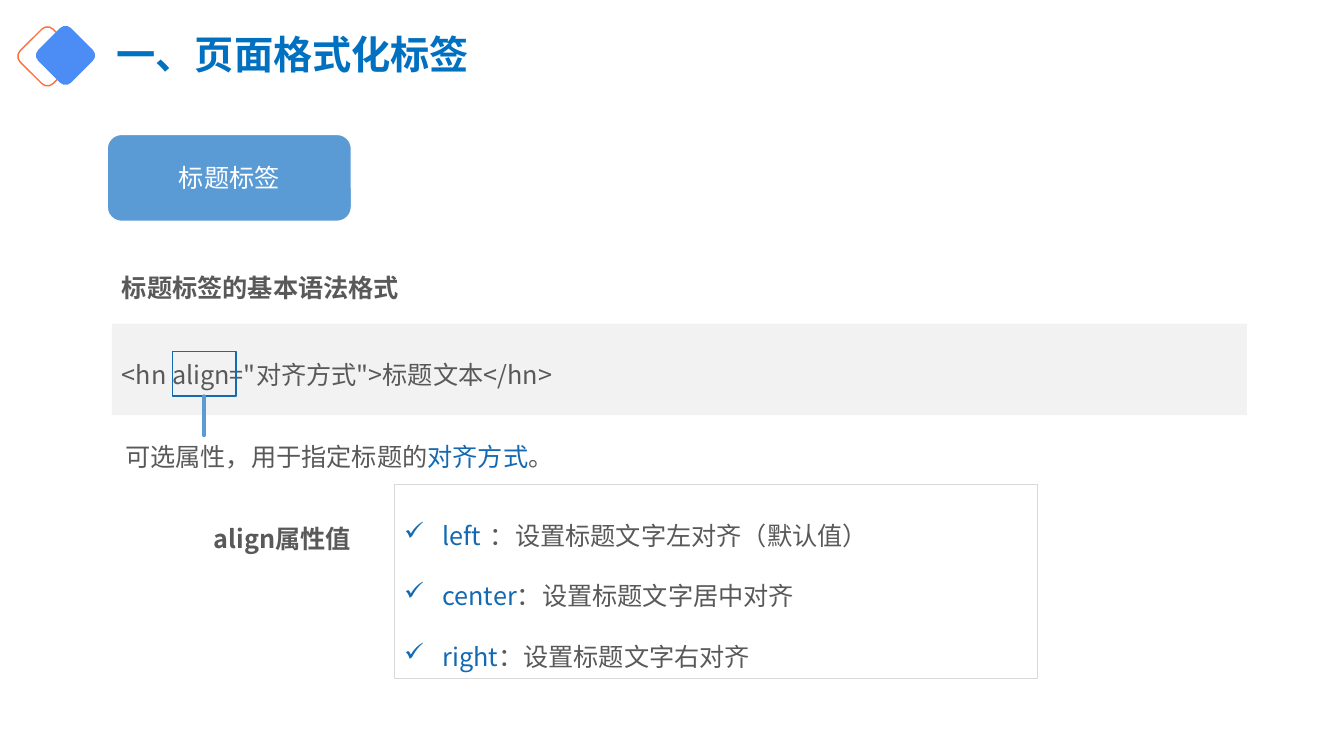
from dataclasses import dataclass

from lxml import etree
from pptx import Presentation
from pptx import util as u
from pptx.dml import color
from pptx.enum import shapes, text
from pptx.oxml import ns

FONT = "Noto Sans CJK SC"
COLORS = {
    "title": "0070C0", "gray": "595959", "blue": "1369B2", "white": "FFFFFF",
    "tag": "5B9BD5", "bar": "F2F2F2", "border": "D9D9D9",
    "orange": "FD703B", "diamond": "4C8CF5",
}
WIDTH, HEIGHT = u.Inches(13.333), u.Inches(7.5)
RECT = shapes.MSO_SHAPE.RECTANGLE
ROUND = shapes.MSO_SHAPE.ROUNDED_RECTANGLE
LEFT, CENTER, JUSTIFY = text.PP_ALIGN.LEFT, text.PP_ALIGN.CENTER, text.PP_ALIGN.JUSTIFY
TOP, MIDDLE = text.MSO_ANCHOR.TOP, text.MSO_ANCHOR.MIDDLE
Run = tuple[str, str]


@dataclass
class Area:
    """Place and size in percent of the slide's width and height."""
    x: float
    y: float
    w: float
    h: float

    def emu(self) -> tuple[int, int, int, int]:
        """Return left, top, width and height in EMU."""
        return across(self.x), down(self.y), across(self.w), down(self.h)


@dataclass
class Box:
    """A preset shape with optional fill and outline."""
    area: Area
    kind: int = RECT
    fill: str | None = None
    line: str | None = None
    weight: float = 1
    rotation: float = 0


@dataclass
class Style:
    """Look of the text in a frame."""
    size: float = 18
    bold: bool = False
    align: int = JUSTIFY
    spacing: float = 1.5
    anchor: int = TOP
    inset: tuple[float, float] = (0.13, 0.07)
    grow: bool = True
    bullet: str | None = None


@dataclass
class Label:
    """A text box holding one paragraph of coloured runs."""
    area: Area
    runs: list[Run]
    style: Style


def across(share: float) -> int:
    """Convert a percentage of the slide width to EMU."""
    return round(WIDTH * share / 100)


def down(share: float) -> int:
    """Convert a percentage of the slide height to EMU."""
    return round(HEIGHT * share / 100)


def rgb(name: str) -> color.RGBColor:
    """Look up a named colour."""
    return color.RGBColor.from_string(COLORS[name])


def add_bullet(p, mark: str) -> None:
    """Give a paragraph a hanging bullet and a tab stop."""
    pPr = p._p.get_or_add_pPr()
    pPr.set("marL", str(u.Inches(0.38)))
    pPr.set("indent", str(-u.Inches(0.38)))
    etree.SubElement(pPr, ns.qn("a:buChar"), char=mark)
    tabs = etree.SubElement(pPr, ns.qn("a:tabLst"))
    etree.SubElement(tabs, ns.qn("a:tab"), pos=str(u.Inches(0.85)), algn="l")


def write(sp, paragraphs: list[list[Run]], style: Style) -> None:
    """Fill a shape's text frame with styled paragraphs."""
    tf = sp.text_frame
    tf.word_wrap = True
    tf.auto_size = text.MSO_AUTO_SIZE.SHAPE_TO_FIT_TEXT if style.grow else text.MSO_AUTO_SIZE.NONE
    tf.vertical_anchor = style.anchor
    tf.margin_left = tf.margin_right = u.Inches(style.inset[0])
    tf.margin_top = tf.margin_bottom = u.Inches(style.inset[1])
    for i, runs in enumerate(paragraphs):
        p = tf.add_paragraph() if i else tf.paragraphs[0]
        if style.bullet:
            add_bullet(p, style.bullet)
        p.alignment = style.align
        p.line_spacing = style.spacing
        for words, name in runs:
            r = p.add_run()
            r.text = words
            r.font.name = FONT
            r.font.size = u.Pt(style.size)
            r.font.bold = style.bold
            r.font.color.rgb = rgb(name)
            etree.SubElement(r._r.get_or_add_rPr(), ns.qn("a:ea"), typeface=FONT)


def draw_box(s, box: Box):
    """Draw a preset shape and return it."""
    sp = s.shapes.add_shape(box.kind, *box.area.emu())
    sp.shadow.inherit = False
    sp.rotation = box.rotation
    if box.fill:
        sp.fill.solid()
        sp.fill.fore_color.rgb = rgb(box.fill)
    else:
        sp.fill.background()
    if box.line:
        sp.line.color.rgb = rgb(box.line)
        sp.line.width = u.Pt(box.weight)
    else:
        sp.line.fill.background()
    return sp


def draw_label(s, label: Label) -> None:
    """Draw a text box."""
    write(s.shapes.add_textbox(*label.area.emu()), [label.runs], label.style)


def draw_stem(s, sp, bottom: float) -> None:
    """Draw a line from the bottom of a shape down to a given height."""
    x = sp.left + sp.width // 2
    stem = s.shapes.add_connector(shapes.MSO_CONNECTOR.STRAIGHT, x, sp.top + sp.height, x, down(bottom))
    stem.begin_connect(sp, 2)
    stem.line.color.rgb = rgb("tag")
    stem.line.width = u.Pt(2.5)
    stem.line._get_or_add_ln().set("cap", "rnd")
    etree.SubElement(stem._element.spPr, ns.qn("a:effectLst"))


def main() -> None:
    """Build the slide on heading tags."""
    prs = Presentation()
    prs.slide_width, prs.slide_height = WIDTH, HEIGHT
    s = prs.slides.add_slide(prs.slide_layouts[6])

    body, strong = Style(), Style(bold=True)
    title = Style(28, True, LEFT, 0.9, MIDDLE, (0.1, 0.05), False)
    tag = Style(align=CENTER, spacing=1, anchor=MIDDLE, inset=(0.1, 0.05), grow=False)
    values = Style(align=LEFT, spacing=2, inset=(0.1, 0.05), bullet="✓")

    draw_box(s, Box(Area(1.8, 4.4, 3.45, 6.13), ROUND, line="orange", rotation=45))
    draw_box(s, Box(Area(3.15, 4.27, 3.45, 6.13), ROUND, fill="diamond", rotation=45))
    sp = draw_box(s, Box(Area(7.95, 17.73, 18.23, 11.6), ROUND, "tag", "white", 1.5))
    write(sp, [[("标题标签", "white")]], tag)
    draw_box(s, Box(Area(8.33, 42.8, 84.45, 12.13), fill="bar"))

    for label in (
        Label(Area(7.95, 2.27, 38.48, 10.53), [("一、页面格式化标签", "title")], title),
        Label(Area(8.1, 33.07, 65.03, 7.87), [("标题标签的基本语法格式", "gray")], strong),
        Label(Area(8.1, 44.53, 65.03, 7.87), [('<hn align="对齐方式">标题文本</hn>', "gray")], body),
        Label(Area(8.33, 55.47, 65.03, 7.87),
              [("可选属性，用于指定标题的", "gray"), ("对齐方式", "blue"), ("。", "gray")], body),
    ):
        draw_label(s, label)

    marker = draw_box(s, Box(Area(12.83, 46.53, 4.73, 5.87), line="blue"))
    draw_stem(s, marker, 57.6)

    sp = draw_box(s, Box(Area(29.33, 64.13, 47.85, 25.6), RECT, "white", "border", 0.75))
    write(sp, [
        [("left\t", "blue"), ("：设置标题文字左对齐（默认值）", "gray")],
        [("center", "blue"), ("：设置标题文字居中对齐", "gray")],
        [("right", "blue"), ("：设置标题文字右对齐", "gray")],
    ], values)
    draw_label(s, Label(Area(14.93, 66.27, 17.55, 7.87), [("align属性值", "gray")], strong))

    prs.save("out.pptx")


if __name__ == "__main__":
    main()
